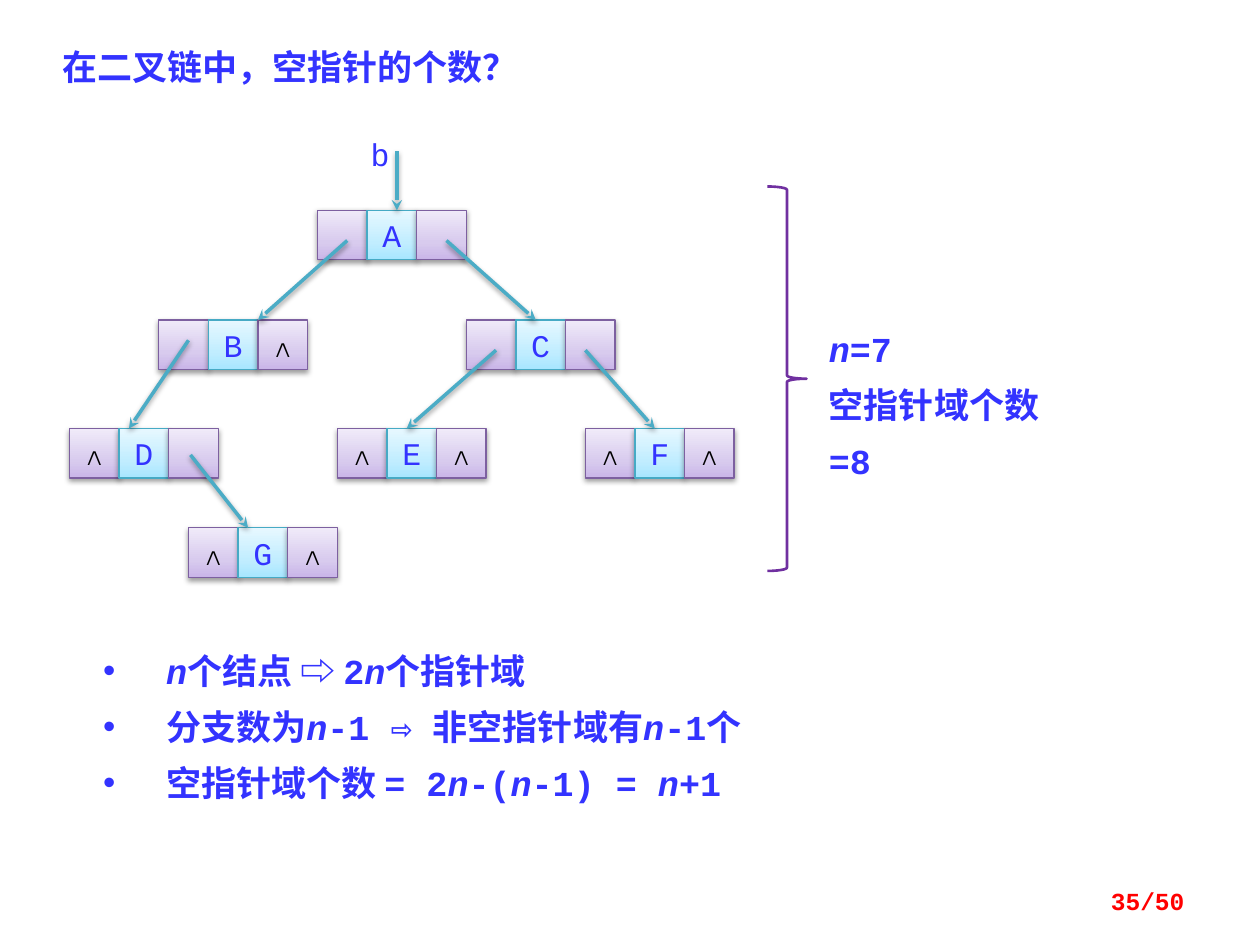
from typing import NamedTuple

from lxml.etree import SubElement
from pptx import Presentation
from pptx.dml.color import RGBColor
from pptx.enum.shapes import MSO_CONNECTOR, MSO_SHAPE
from pptx.enum.text import MSO_ANCHOR, MSO_AUTO_SIZE, PP_ALIGN
from pptx.oxml.ns import qn
from pptx.util import Cm, Inches, Pt

BLUE, RED, TEAL, BRACE = "3333FF", "FF0000", "4BACC6", "7030A0"
MONO, SERIF = "Courier New", "Times New Roman"
ROWS = (4.24, 6.45, 8.64, 10.64)
NULL = "∧"


class Look(NamedTuple):
    stops: tuple
    edge: str
    ink: str


class Node(NamedTuple):
    col: float
    row: int
    left: str
    name: str
    right: str


class Link(NamedTuple):
    x: float
    y: float
    col: float
    row: int


class Box(NamedTuple):
    x: float
    y: float
    w: float
    h: float


LINK = Look(("C9B5E8", "D8CBEE", "F0EAF9"), "7D60A0", "000000")
DATA = Look(("A7E6FF", "C1EDFF", "E7F8FF"), "46AAC5", BLUE)

NODES = (
    Node(6.4, 0, "", "A", ""),
    Node(3.2, 1, "", "B", NULL),
    Node(1.4, 2, NULL, "D", ""),
    Node(3.8, 3, NULL, "G", NULL),
    Node(9.4, 1, "", "C", ""),
    Node(6.8, 2, NULL, "E", NULL),
    Node(11.8, 2, NULL, "F", NULL),
)
LINKS = (
    Link(7, 4.85, 5.2, 1),
    Link(3.8, 6.86, 2.6, 2),
    Link(9, 4.85, 10.8, 1),
    Link(3.84, 9.17, 5, 3),
    Link(10, 7.06, 8.2, 2),
    Link(11.8, 7.06, 13.2, 2),
    Link(8, 3.05, 8, 0),
)
FACTS = ("n个结点 ⇨ 2n个指针域", "分支数为n-1 ⇨ 非空指针域有n-1个", "空指针域个数 = 2n-(n-1) = n+1")


def tint(code: str) -> RGBColor:
    """Turn a hex string into a colour."""
    return RGBColor.from_string(code)


def place(shape, box: Box) -> None:
    """Move a shape to a box given in grid units of one centimetre."""
    shape.left, shape.top, shape.width, shape.height = map(Cm, box)


def style(par, size: float, face: str, ink: str, bold: bool = False) -> None:
    """Format every run of a paragraph."""
    for run in par.runs:
        font = run.font
        font.size, font.name, font.bold = Pt(size), face, bold
        font.color.rgb = tint(ink)


def shade(shape) -> None:
    """Give a shape or connector a soft shadow below it."""
    props = shape._element.spPr
    for old in props.findall(qn("a:effectLst")):
        props.remove(old)
    glow = SubElement(SubElement(props, qn("a:effectLst")), qn("a:outerShdw"),
                      blurRad="39370", dist="20320", dir="5400000", rotWithShape="0")
    hue = SubElement(glow, qn("a:srgbClr"), val="000000")
    SubElement(hue, qn("a:alpha"), val="38000")


def blend(shape, look: Look) -> None:
    """Fill a shape with an upward three-stop gradient."""
    shape.fill.gradient()
    shape.fill.gradient_angle = 90
    stops = shape._element.spPr.find(qn("a:gradFill")).find(qn("a:gsLst"))
    for old in list(stops):
        stops.remove(old)
    for at, code in zip((0, 35, 100), look.stops):
        stop = SubElement(stops, qn("a:gs"), pos=str(at * 1000))
        SubElement(stop, qn("a:srgbClr"), val=code)


def cell(slide, col: float, top: float, text: str, look: Look) -> None:
    """Draw one field of a node."""
    shape = slide.shapes.add_shape(MSO_SHAPE.RECTANGLE, Cm(col), Cm(top), Cm(1), Cm(1))
    blend(shape, look)
    shape.line.color.rgb, shape.line.width = tint(look.edge), Pt(0.75)
    shade(shape)
    if text:
        frame = shape.text_frame
        frame.text, frame.word_wrap = text, False
        frame.vertical_anchor = MSO_ANCHOR.MIDDLE
        frame.paragraphs[0].alignment = PP_ALIGN.CENTER
        style(frame.paragraphs[0], 18, MONO, look.ink)


def node(slide, item: Node) -> None:
    """Draw a node as left link, data and right link."""
    fields = ((item.left, LINK), (item.name, DATA), (item.right, LINK))
    for step, (text, look) in enumerate(fields):
        cell(slide, item.col + step, ROWS[item.row], text, look)


def arrow(slide, item: Link) -> None:
    """Draw a pointer arrow to the top of a row."""
    line = slide.shapes.add_connector(MSO_CONNECTOR.STRAIGHT, Cm(item.x), Cm(item.y),
                                      Cm(item.col), Cm(ROWS[item.row]))
    line.line.color.rgb, line.line.width = tint(TEAL), Pt(2)
    SubElement(line.line._get_or_add_ln(), qn("a:tailEnd"), type="stealth")
    shade(line)


def note(slide, box: Box, text: str, size: float, ink: str, align, bold: bool = False):
    """Add a wrapped text box and return its frame."""
    shape = slide.shapes.add_textbox(0, 0, 0, 0)
    place(shape, box)
    frame = shape.text_frame
    frame.text, frame.word_wrap = text, True
    for par in frame.paragraphs:
        par.alignment = align
        style(par, size, MONO, ink, bold)
    return frame


def prose(frame, lines: tuple, dots: bool = False) -> None:
    """Write lines in which each n is an italic variable."""
    frame.text = "\n".join(lines)
    for par, line in zip(frame.paragraphs, lines):
        par.clear()
        if dots:
            props = par._p.get_or_add_pPr()
            props.set("marL", str(Inches(0.5)))
            props.set("indent", str(-Inches(0.5)))
            SubElement(props, qn("a:buChar"), char="•")
        par.line_spacing, par.space_before = Pt(32), Pt(0)
        for part in line.replace("n", "|n|").split("|"):
            if part:
                run = par.add_run()
                run.text, run.font.italic = part, part == "n"
        style(par, 20, MONO, BLUE, True)


def main() -> None:
    """Build the slide about null pointers in a linked binary tree."""
    deck = Presentation()
    deck.slide_width, deck.slide_height = Inches(10), Inches(7.5)
    slide = deck.slides.add_slide(deck.slide_layouts[1])

    title, body = slide.shapes.title, slide.placeholders[1]
    place(title, Box(1, 0.79, 12.3, 1.11))
    frame = title.text_frame
    frame.text, frame.auto_size = "在二叉链中，空指针的个数？", MSO_AUTO_SIZE.NONE
    frame.vertical_anchor = MSO_ANCHOR.TOP
    frame.paragraphs[0].alignment = PP_ALIGN.LEFT
    style(frame.paragraphs[0], 20, SERIF, BLUE, True)

    for item in NODES:
        node(slide, item)
    for item in LINKS:
        arrow(slide, item)
    note(slide, Box(6.76, 2.6, 1.8, 1.02), "b", 18, BLUE, PP_ALIGN.CENTER)

    place(body, Box(1.57, 12.5, 15.47, 4.01))
    body.fill.solid()
    body.fill.fore_color.rgb = tint("FFFFFF")
    frame = body.text_frame
    frame.auto_size = MSO_AUTO_SIZE.NONE
    frame.margin_left = Inches(0.2)
    frame.margin_top = frame.margin_bottom = Inches(0.12)
    prose(frame, FACTS, True)

    count = note(slide, Box(16.46, 6.2, 5.56, 2.54), "", 20, BLUE, PP_ALIGN.LEFT)
    prose(count, ("n=7", "空指针域个数=8"))
    brace = slide.shapes.add_shape(MSO_SHAPE.RIGHT_BRACE, 0, 0, 0, 0)
    place(brace, Box(15.47, 3.76, 0.79, 7.75))
    brace.shadow.inherit = False
    brace.fill.background()
    brace.line.color.rgb, brace.line.width = tint(BRACE), Pt(1.5)

    page = note(slide, Box(18.2, 17.65, 5.93, 1.01), "35/50", 14, RED, PP_ALIGN.RIGHT, True)
    page.vertical_anchor = MSO_ANCHOR.MIDDLE
    deck.save("out.pptx")


if __name__ == "__main__":
    main()
